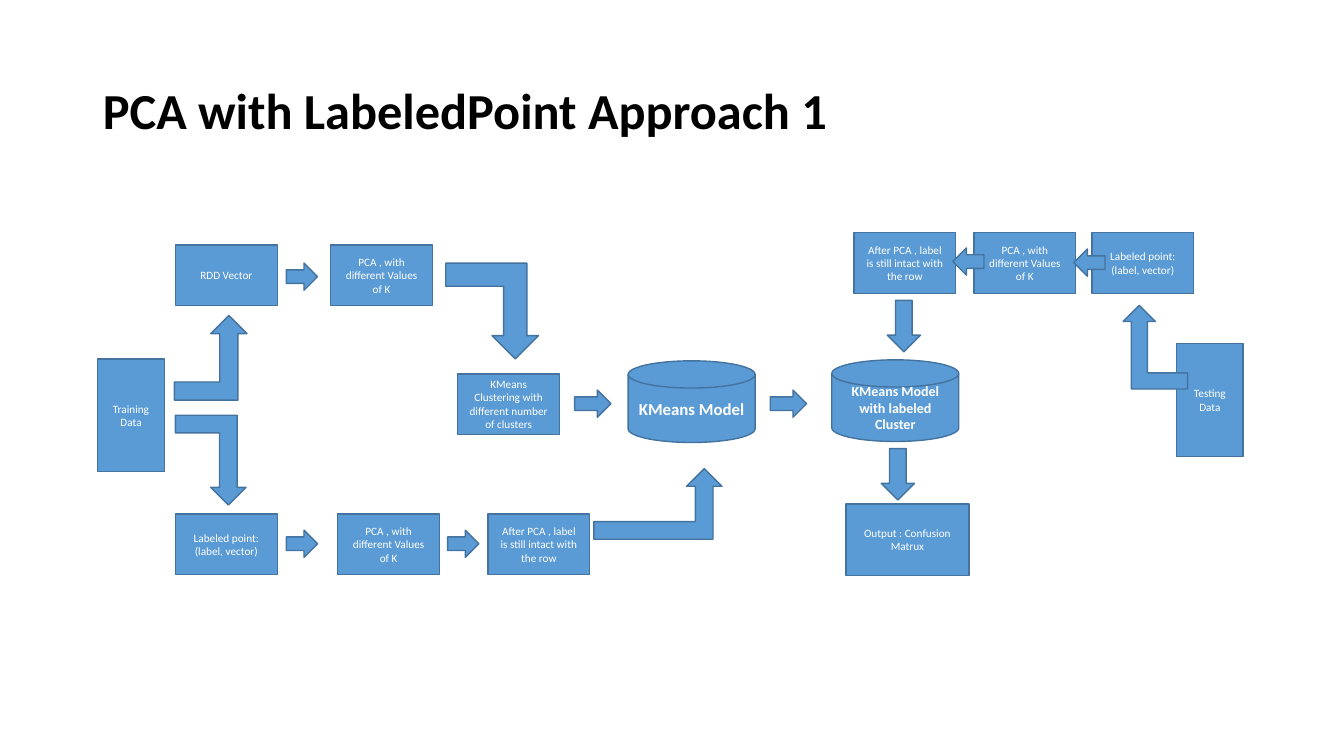
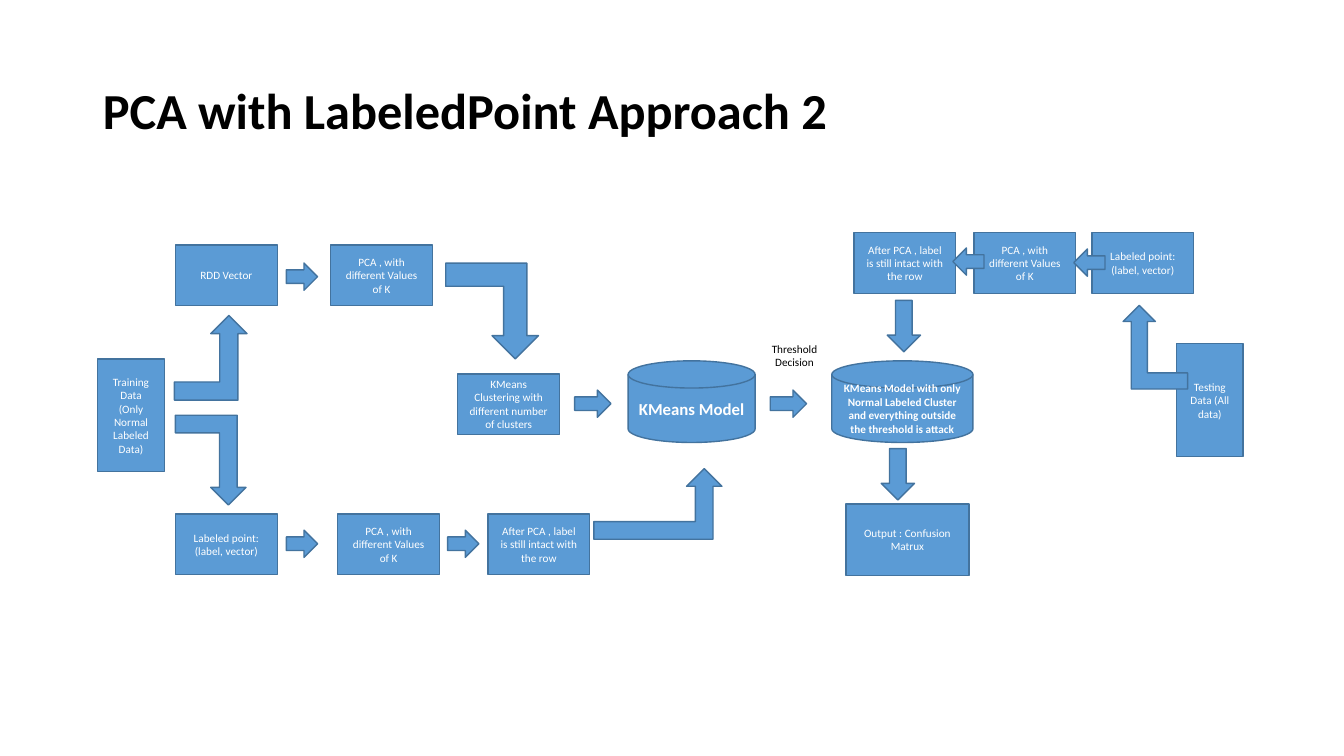
from pptx import Presentation
from pptx.dml.color import RGBColor
from pptx.enum.shapes import MSO_SHAPE
from pptx.enum.text import MSO_ANCHOR, MSO_AUTO_SIZE, PP_ALIGN
from pptx.util import Inches, Pt

COLORS = {"fill": "5B9BD5", "line": "43739E", "light": "FFFFFF", "dark": "000000"}
FONT = "Calibri"

PCA = "PCA , with different Values of K"
AFTER_PCA = "After PCA , label is still intact with the row"
LABELED = "Labeled point: (label, vector)"

# What differs between the two slides
APPROACHES = [
    {
        "title": "PCA with LabeledPoint Approach 1",
        "training": "Training Data",
        "testing": "Testing Data",
        "cluster": ("KMeans Model with labeled Cluster", 10, 3.57, 1.26),
        "decision": None,
    },
    {
        "title": "PCA with LabeledPoint Approach 2",
        "training": "Training Data (Only Normal Labeled Data)",
        "testing": "Testing Data (All data)",
        "cluster": ("KMeans Model with only Normal Labeled Cluster and everything "
                    "outside the threshold is attack", 8, 3.58, 1.4),
        "decision": "Threshold Decision",
    },
]

# Rows of equal boxes: top of the row, then (left, text) for each step
STEP_SIZE = (1.01, 0.6)
STEP_ROWS = [
    (2.43, [(1.74, "RDD Vector"), (3.28, PCA)]),
    (3.71, [(4.54, "KMeans Clustering with different number of clusters")]),
    (5.1, [(1.74, LABELED), (3.35, PCA), (4.84, AFTER_PCA)]),
    (2.31, [(10.83, LABELED), (9.66, PCA), (8.47, AFTER_PCA)]),
]
DATA_SIZE = (0.66, 1.12)
TRAINING_AT = (0.97, 3.56)
TESTING_AT = (11.67, 3.41)
MODEL_BOX = (6.23, 3.58, 1.26, 0.81)
CLUSTER_LEFT, CLUSTER_HEIGHT = 8.25, 0.81
OUTPUT_BOX = (8.39, 5, 1.22, 0.71)
DECISION_BOX = (7.47, 3.38, 0.82, 0.3)
TITLE_BOX = (0.92, 0.4, 11.5, 1.45)

# Straight arrows: preset, size, rotation, places
STRAIGHT_ARROWS = [
    (MSO_SHAPE.RIGHT_ARROW, (0.31, 0.27), 0, [(2.84, 2.61), (2.84, 5.26), (4.44, 5.26)]),
    (MSO_SHAPE.RIGHT_ARROW, (0.36, 0.27), 0, [(5.7, 3.87), (7.64, 3.87)]),
    (MSO_SHAPE.RIGHT_ARROW, (0.31, 0.27), 180, [(10.65, 2.47), (9.45, 2.46)]),
    (MSO_SHAPE.DOWN_ARROW, (0.33, 0.51), 0, [(8.8, 2.98), (8.74, 4.45)]),
]
# Bent arrows: box, rotation, mirrored
BENT_ARROWS = [
    ((1.73, 3.13, 0.72, 0.84), 0, False),
    ((1.74, 4.12, 0.7, 0.89), 180, True),
    ((4.42, 2.61, 0.92, 0.95), 180, True),
    ((5.89, 4.65, 1.27, 0.7), 0, False),
    ((11.14, 3.03, 0.64, 0.83), 0, True),
]


def color(name):
    """Return a palette colour."""
    return RGBColor.from_string(COLORS[name])


def write(shape, text, size, color_name="light", bold=False, align=PP_ALIGN.CENTER):
    """Put one formatted, vertically centred paragraph in a shape."""
    frame = shape.text_frame
    frame.text = text
    frame.word_wrap = True
    frame.auto_size = MSO_AUTO_SIZE.NONE
    frame.vertical_anchor = MSO_ANCHOR.MIDDLE
    paragraph = frame.paragraphs[0]
    paragraph.alignment = align
    paragraph.font.name = FONT
    paragraph.font.size = Pt(size)
    paragraph.font.bold = bold
    paragraph.font.color.rgb = color(color_name)
    return paragraph


def add_block(slide, preset, box, text=None, size=8, bold=False):
    """Add a blue outlined shape, with text if given."""
    shape = slide.shapes.add_shape(preset, *map(Inches, box))
    shape.shadow.inherit = False
    shape.fill.solid()
    shape.fill.fore_color.rgb = color("fill")
    shape.line.color.rgb = color("line")
    shape.line.width = Pt(1)
    if text:
        write(shape, text, size, bold=bold)
    return shape


def add_title(slide, text):
    """Place and format the title placeholder."""
    title = slide.shapes.title
    title.left, title.top, title.width, title.height = map(Inches, TITLE_BOX)
    paragraph = write(title, text, 36, "dark", True, PP_ALIGN.LEFT)
    paragraph.line_spacing = 0.9


def add_boxes(slide, approach):
    """Add the data, step, model and output blocks."""
    rectangle, disk = MSO_SHAPE.RECTANGLE, MSO_SHAPE.FLOWCHART_MAGNETIC_DISK
    add_block(slide, rectangle, TRAINING_AT + DATA_SIZE, approach["training"])
    add_block(slide, rectangle, TESTING_AT + DATA_SIZE, approach["testing"])
    for top, steps in STEP_ROWS:
        for left, text in steps:
            add_block(slide, rectangle, (left, top) + STEP_SIZE, text)
    add_block(slide, disk, MODEL_BOX, "KMeans Model", 12, True)
    text, size, top, width = approach["cluster"]
    add_block(slide, disk, (CLUSTER_LEFT, top, width, CLUSTER_HEIGHT), text, size, True)
    add_block(slide, rectangle, OUTPUT_BOX, "Output : Confusion Matrux")


def add_arrows(slide):
    """Add the straight and bent arrows between the blocks."""
    for preset, size, rotation, places in STRAIGHT_ARROWS:
        for place in places:
            add_block(slide, preset, place + size).rotation = rotation
    for box, rotation, mirrored in BENT_ARROWS:
        arrow = add_block(slide, MSO_SHAPE.BENT_UP_ARROW, box)
        arrow.rotation = rotation
        if mirrored:
            arrow.element.spPr.get_or_add_xfrm().set("flipH", "1")


def add_approach(presentation, approach):
    """Build the slide for one approach."""
    slide = presentation.slides.add_slide(presentation.slide_layouts[5])
    add_title(slide, approach["title"])
    add_boxes(slide, approach)
    add_arrows(slide)
    if approach["decision"]:
        label = slide.shapes.add_textbox(*map(Inches, DECISION_BOX))
        write(label, approach["decision"], 8, "dark")


presentation = Presentation()
presentation.slide_width, presentation.slide_height = Inches(13.33), Inches(7.5)
for approach in APPROACHES:
    add_approach(presentation, approach)
presentation.save("out.pptx")
